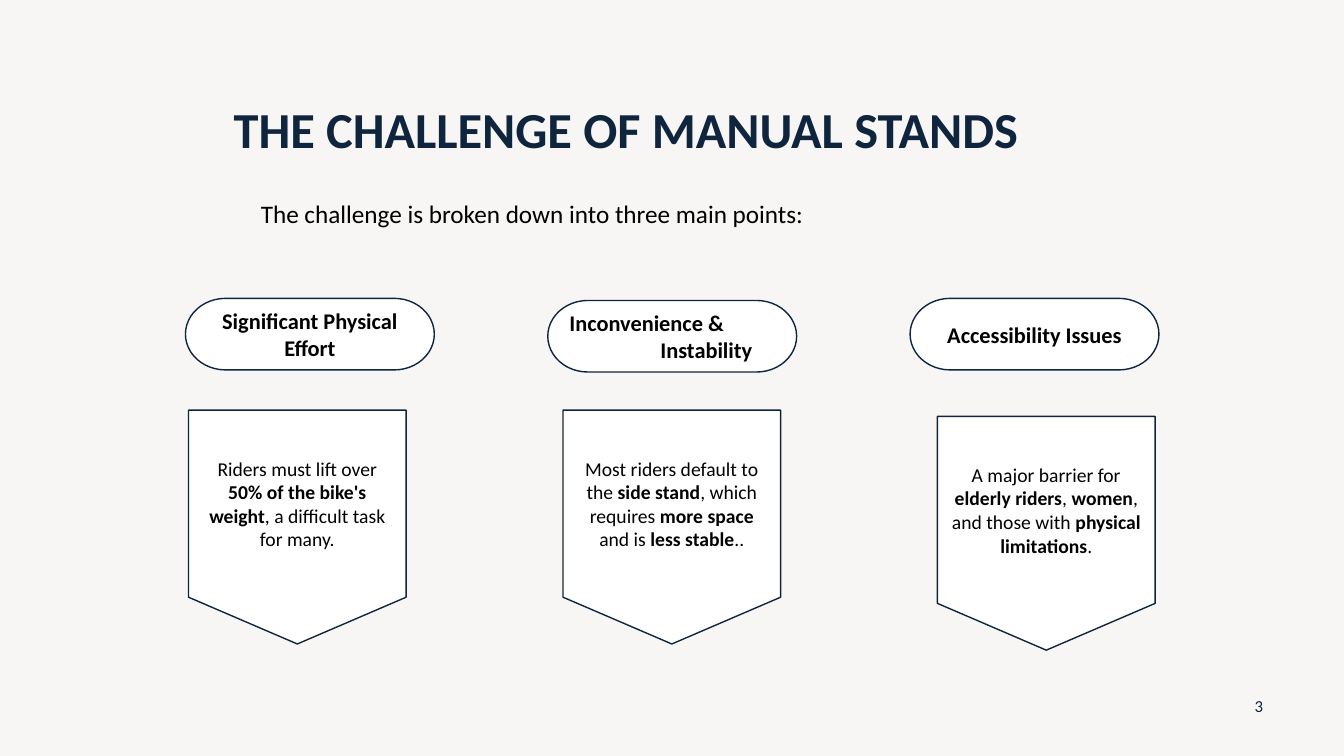
from pptx import Presentation
from pptx.dml.color import RGBColor
from pptx.enum.shapes import MSO_SHAPE
from pptx.enum.text import MSO_ANCHOR, PP_ALIGN
from pptx.util import Pt

NAVY, BLACK, WHITE, PAPER = "0F253E", "000000", "FFFFFF", "F8F6F5"

# Heading lines, heading top, body top, body text (** switches bold)
CHALLENGES = [
    (["Significant Physical Effort"], 213.1, 293,
     "Riders must lift over **50% of the bike's weight**, a difficult task for many."),
    (["Inconvenience &", "Instability"], 214.6, 293,
     "Most riders default to the **side stand**, which requires **more space**"
     " and is **less stable**.."),
    (["Accessibility Issues"], 213.1, 297.4,
     "A major barrier for **elderly riders**, **women**, and those with"
     " **physical limitations**."),
]
HEADING_LEFT, HEADING_STEP, HEADING_SIZE = 132.5, 258.8, (177.8, 51.1)
BODY_LEFT, BODY_STEP, BODY_SIZE = 134.64, 267.5, (155.5, 167)
STAGGER_INDENT = 65


def color(value):
    return RGBColor.from_string(value)


class SlideBuilder:
    """Holds the text style and the page being drawn."""

    def __init__(self, page, font_name):
        self.page = page
        self.font_name = font_name

    def background(self, value):
        fill = self.page.background.fill
        fill.solid()
        fill.fore_color.rgb = color(value)

    def fill_frame(self, frame, lines, size, ink=BLACK, bold=False, align=PP_ALIGN.CENTER,
                   anchor=MSO_ANCHOR.MIDDLE, spacing=None):
        """Fill a text frame, one paragraph a line; ** switches bold."""
        frame.word_wrap = True
        frame.vertical_anchor = anchor
        for number, line in enumerate(lines):
            para = frame.add_paragraph() if number else frame.paragraphs[0]
            para.alignment = align
            para.line_spacing = spacing
            for index, words in enumerate(line.split("**")):
                span = para.add_run()
                span.text = words
                span.font.color.rgb = color(ink)
                look = {"name": self.font_name, "size": Pt(size),
                        "bold": bold or index % 2 == 1}
                for key, value in look.items():
                    setattr(span.font, key, value)

    def text(self, left, top, width, height, words, size, **style):
        box = self.page.shapes.add_textbox(Pt(left), Pt(top), Pt(width), Pt(height))
        self.fill_frame(box.text_frame, [words], size, **style)

    def panel(self, kind, left, top, extent, lines, size, **style):
        """Add a white outlined shape with text and return it."""
        width, height = extent
        shape = self.page.shapes.add_shape(kind, Pt(left), Pt(top), Pt(width), Pt(height))
        shape.shadow.inherit = False
        shape.fill.solid()
        shape.fill.fore_color.rgb = color(WHITE)
        shape.line.color.rgb = color(NAVY)
        shape.line.width = Pt(1)
        self.fill_frame(shape.text_frame, lines, size, **style)
        return shape

    def heading(self, left, top, lines):
        """Add a pill; two lines are staggered, the second one indented."""
        staggered = len(lines) > 1
        align = PP_ALIGN.LEFT if staggered else PP_ALIGN.CENTER
        pill = self.panel(MSO_SHAPE.FLOWCHART_TERMINATOR, left, top, HEADING_SIZE,
                          lines, 16, bold=True, align=align)
        if staggered:
            properties = pill.text_frame.paragraphs[1]._p.get_or_add_pPr()
            properties.set("marL", str(Pt(STAGGER_INDENT)))


def main():
    deck = Presentation()
    deck.slide_width, deck.slide_height = Pt(960), Pt(540)
    builder = SlideBuilder(deck.slides.add_slide(deck.slide_layouts[6]), "Calibri")
    builder.background(PAPER)
    builder.text(159.8, 50.4, 586.8, 87.8, "THE CHALLENGE OF MANUAL STANDS", 36,
                 ink=NAVY, bold=True, align=PP_ALIGN.LEFT, spacing=0.9)
    builder.text(881.3, 489.6, 36, 28.8, "3", 12, ink=NAVY)
    builder.text(144.7, 138.2, 470.9, 51.1,
                 "The challenge is broken down into three main points:", 18,
                 anchor=MSO_ANCHOR.TOP)
    for column, (lines, heading_top, body_top, body) in enumerate(CHALLENGES):
        builder.panel(MSO_SHAPE.FLOWCHART_OFFPAGE_CONNECTOR,
                      BODY_LEFT + column * BODY_STEP, body_top, BODY_SIZE, [body], 14)
        builder.heading(HEADING_LEFT + column * HEADING_STEP, heading_top, lines)
    deck.save("out.pptx")


if __name__ == "__main__":
    main()
